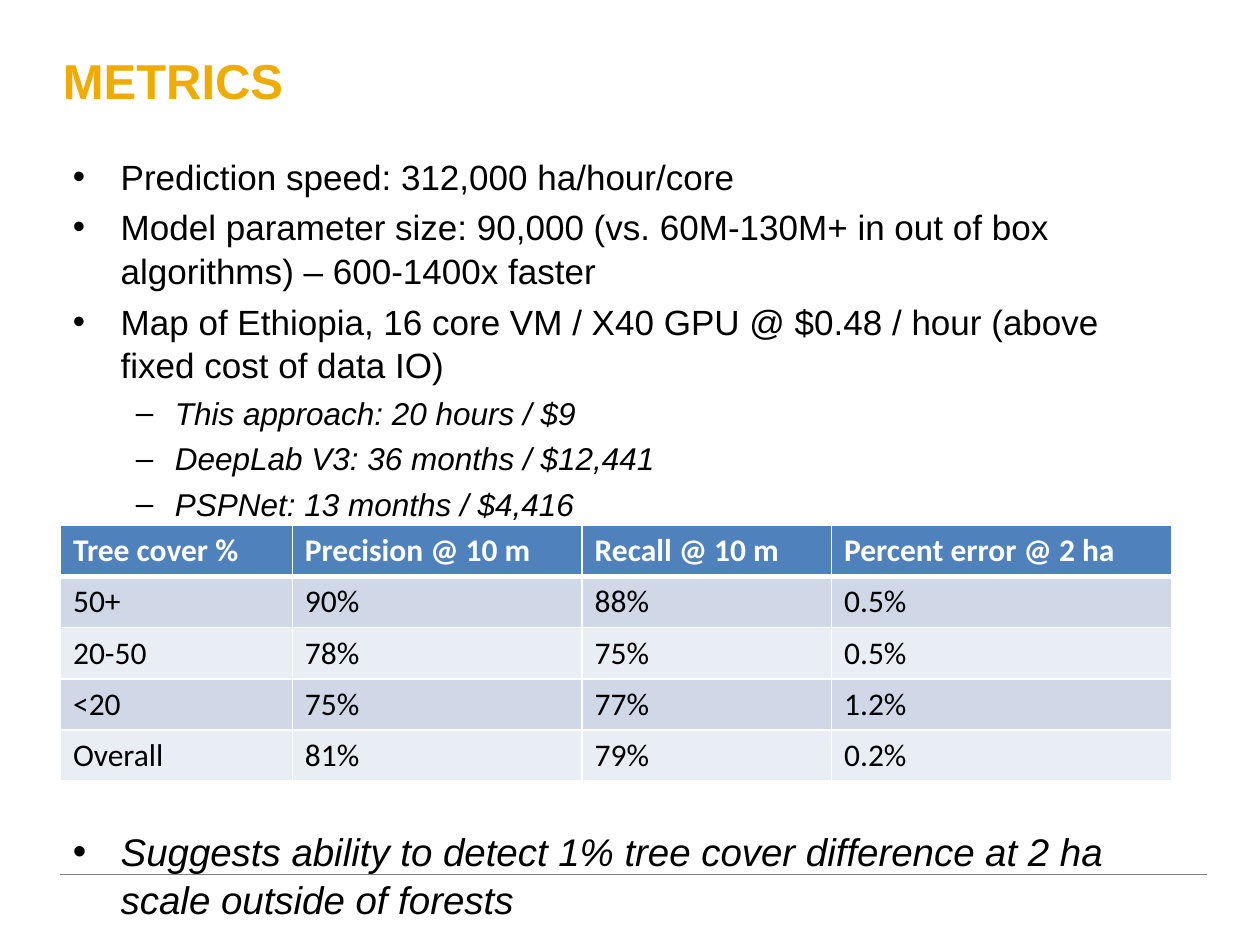
import pptx
import pptx.dml.color
import pptx.enum.shapes
import pptx.oxml
import pptx.oxml.ns
import pptx.util
from pptx.util import Inches, Pt

TITLE = "METRICS"
POINTS = [
    (0, "Prediction speed: 312,000 ha/hour/core"),
    (0, "Model parameter size: 90,000 (vs. 60M-130M+ in out of box algorithms) – 600-1400x faster"),
    (0, "Map of Ethiopia, 16 core VM / X40 GPU @ $0.48 / hour (above fixed cost of data IO)"),
    (1, "This approach: 20 hours / $9"),
    (1, "DeepLab V3: 36 months / $12,441"),
    (1, "PSPNet: 13 months / $4,416"),
]
CONCLUSION = [
    (2, "Suggests ability to detect 1% tree cover difference at 2 ha scale outside of forests"),
]
# bullet, left margin, hanging indent, size, italic
STYLES = [
    ("•", 0.38, 0.38, 20, False),
    ("–", 0.81, 0.31, 18, True),
    ("•", 0.38, 0.38, 22, True),
]
COL_WIDTHS = [1.84, 2.3, 1.98, 2.7]
ROWS = [
    ("Tree cover %", "Precision @ 10 m", "Recall @ 10 m", "Percent error @ 2 ha"),
    ("50+", "90%", "88%", "0.5%"),
    ("20-50", "78%", "75%", "0.5%"),
    ("<20", "75%", "77%", "1.2%"),
    ("Overall", "81%", "79%", "0.2%"),
]
HEADER_FILL, BANDS = "4F81BD", ("D0D8E8", "E9EDF4")
LEFT = 0.48


def rgb(value):
    return pptx.dml.color.RGBColor.from_string(value)


def add_xml(parent, xml):
    ns = pptx.oxml.ns.nsdecls("a")
    parent.append(pptx.oxml.parse_xml(xml.replace(" ", f" {ns} ", 1)))


def style_font(font, name, size, color, bold=False, italic=False):
    font.name, font.size, font.bold, font.italic = name, Pt(size), bold, italic
    font.color.rgb = rgb(color)


def add_text_box(slide, x, y, w, h):
    tf = slide.shapes.add_textbox(*map(Inches, (x, y, w, h))).text_frame
    tf.word_wrap = True
    return tf


def add_bullets(slide, items, top, height):
    tf = add_text_box(slide, LEFT, top, 9, height)
    for i, (style, text) in enumerate(items):
        bullet, margin, hang, size, italic = STYLES[style]
        p = tf.add_paragraph() if i else tf.paragraphs[0]
        p.text = text
        p.line_spacing = 1.04
        p.space_before = Pt(0.2 * size if i else 0)
        pPr = p._p.get_or_add_pPr()
        pPr.set("marL", str(Inches(margin)))
        pPr.set("indent", str(-Inches(hang)))
        add_xml(pPr, '<a:buFont typeface="Arial"/>')
        add_xml(pPr, f'<a:buChar char="{bullet}"/>')
        style_font(p.runs[0].font, "Arial", size, "000000", italic=italic)


def set_borders(cell, top, bottom):
    tcPr = cell._tc.get_or_add_tcPr()
    for side, width in (("L", 1), ("R", 1), ("T", top), ("B", bottom)):
        add_xml(tcPr, f'<a:ln{side} w="{Pt(width)}"><a:solidFill>'
                      f'<a:srgbClr val="FFFFFF"/></a:solidFill></a:ln{side}>')


def add_metrics_table(slide):
    table = slide.shapes.add_table(
        len(ROWS), len(COL_WIDTHS), Inches(LEFT), Inches(4.17),
        Inches(sum(COL_WIDTHS)), Inches(2.03)).table
    for column, width in zip(table.columns, COL_WIDTHS):
        column.width = Inches(width)
    for r, row in enumerate(ROWS):
        header = r == 0
        for c, text in enumerate(row):
            cell = table.cell(r, c)
            cell.text = text
            set_borders(cell, top=3 if r == 1 else 1, bottom=3 if header else 1)
            cell.fill.solid()
            cell.fill.fore_color.rgb = rgb(HEADER_FILL if header else BANDS[(r - 1) % 2])
            style_font(cell.text_frame.paragraphs[0].runs[0].font, "Calibri", 18,
                       "FFFFFF" if header else "000000", bold=header)


def main():
    prs = pptx.Presentation()
    prs.slide_width, prs.slide_height = Inches(10), Inches(7.5)
    slide = prs.slides.add_slide(prs.slide_layouts[6])

    rule = slide.shapes.add_connector(
        pptx.enum.shapes.MSO_CONNECTOR.STRAIGHT,
        Inches(LEFT), Inches(6.94), Inches(9.58), Inches(6.94))
    rule.line.color.rgb = rgb("808080")
    rule.line.width = Pt(0.25)
    add_xml(rule._element.spPr, "<a:effectLst />")

    tf = add_text_box(slide, 0.5, 0.3, 9, 0.87)
    tf.margin_left = tf.margin_right = 0
    tf.margin_top = Inches(0.1)
    tf.text = TITLE
    style_font(tf.paragraphs[0].runs[0].font, "Arial", 28, "F0AB00", bold=True)

    add_bullets(slide, POINTS, 1.17, 3)
    add_bullets(slide, CONCLUSION, 6.51, 0.85)
    add_metrics_table(slide)
    prs.save("out.pptx")


if __name__ == "__main__":
    main()
